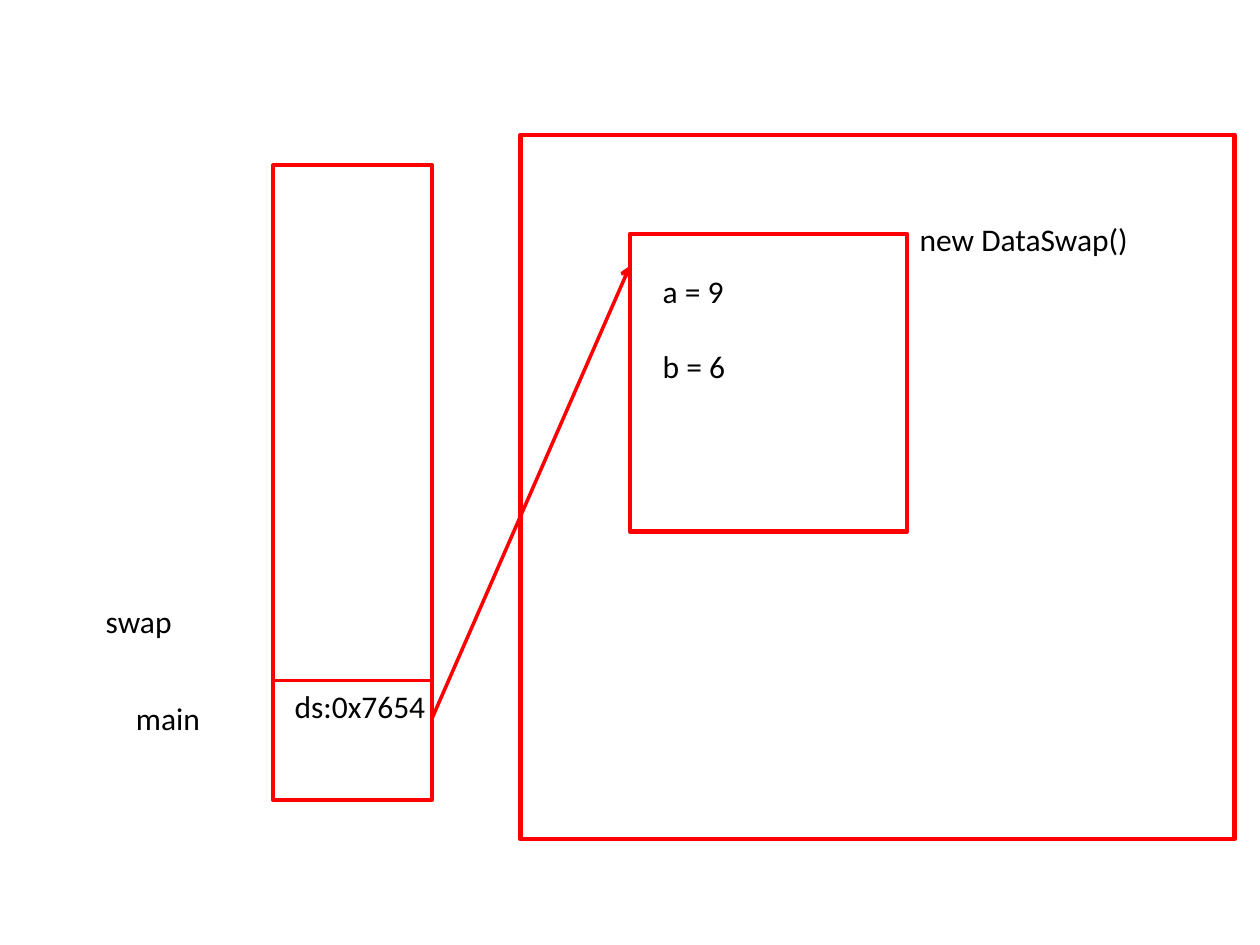
from dataclasses import dataclass

from lxml import etree
from pptx import Presentation
from pptx import util as u
from pptx.dml.color import RGBColor
from pptx.enum import shapes, text
from pptx.oxml.ns import qn


@dataclass(frozen=True)
class Theme:
    outline: RGBColor = RGBColor(0xFF, 0x00, 0x00)
    ink: RGBColor = RGBColor(0x00, 0x00, 0x00)
    font: str = "Calibri"
    body_size: float = 18
    box_line: float = 2.5
    thin_line: float = 2


def write_text(frame, lines, *, font, size, color, gap=0):
    for index, line in enumerate(lines):
        para = frame.paragraphs[0] if index == 0 else frame.add_paragraph()
        para.alignment = text.PP_ALIGN.LEFT
        if index:
            para.space_before = u.Pt(gap)
        span = para.add_run()
        span.text = line
        span.font.name = font
        span.font.size = u.Pt(size)
        span.font.color.rgb = color


class MemoryDiagram:
    def __init__(self, page, theme):
        self.page = page
        self.theme = theme

    def box(self, left, top, width, height):
        box = self.page.shapes.add_shape(
            shapes.MSO_SHAPE.RECTANGLE,
            u.Cm(left), u.Cm(top), u.Cm(width), u.Cm(height))
        box.shadow.inherit = False
        box.fill.background()
        box.line.color.rgb = self.theme.outline
        box.line.width = u.Pt(self.theme.box_line)
        return box

    def line(self, start, end, arrow=False):
        line = self.page.shapes.add_connector(
            shapes.MSO_CONNECTOR.STRAIGHT,
            *(u.Cm(value) for value in (*start, *end)))
        line.line.color.rgb = self.theme.outline
        line.line.width = u.Pt(self.theme.thin_line)
        if arrow:
            stroke = line.line._get_or_add_ln()
            etree.SubElement(stroke, qn("a:tailEnd"), type="arrow")
        etree.SubElement(line._element.spPr, qn("a:effectLst"))
        return line

    def label(self, left, top, width, *lines, height=1.02, gap=0):
        box = self.page.shapes.add_textbox(
            u.Cm(left), u.Cm(top), u.Cm(width), u.Cm(height))
        frame = box.text_frame
        frame.word_wrap = True
        frame.auto_size = text.MSO_AUTO_SIZE.SHAPE_TO_FIT_TEXT
        write_text(frame, lines, font=self.theme.font,
                   size=self.theme.body_size, color=self.theme.ink, gap=gap)
        return box


def main():
    deck = Presentation()
    deck.slide_width, deck.slide_height = u.Cm(25.4), u.Cm(19.05)
    page = deck.slides.add_slide(deck.slide_layouts[6])
    diagram = MemoryDiagram(page, Theme())

    stack_left, stack_width, frame_top = 5.51, 3.2, 13.72
    stack_right = stack_left + stack_width
    object_left, object_top, object_width = 12.7, 4.72, 5.59

    diagram.box(stack_left, 3.33, stack_width, 12.8)
    diagram.line((stack_left, frame_top), (stack_right, frame_top))
    diagram.label(2.49, 13.97, 2.59, "main")
    diagram.label(1.88, 12.01, 2.59, "swap")
    diagram.label(5.69, frame_top, 3.4, "ds:0x7654")

    diagram.box(10.49, 2.72, 14.4, 14.2)
    diagram.box(object_left, object_top, object_width, 6)
    diagram.label(object_left + object_width, 4.32, 5.41, "new DataSwap()")
    diagram.label(13.11, 5.36, 3.81, "a = 9", "b = 6", height=2.57, gap=21)
    diagram.line((stack_right, 14.48), (object_left, 5.36), arrow=True)

    deck.save("out.pptx")


if __name__ == "__main__":
    main()
